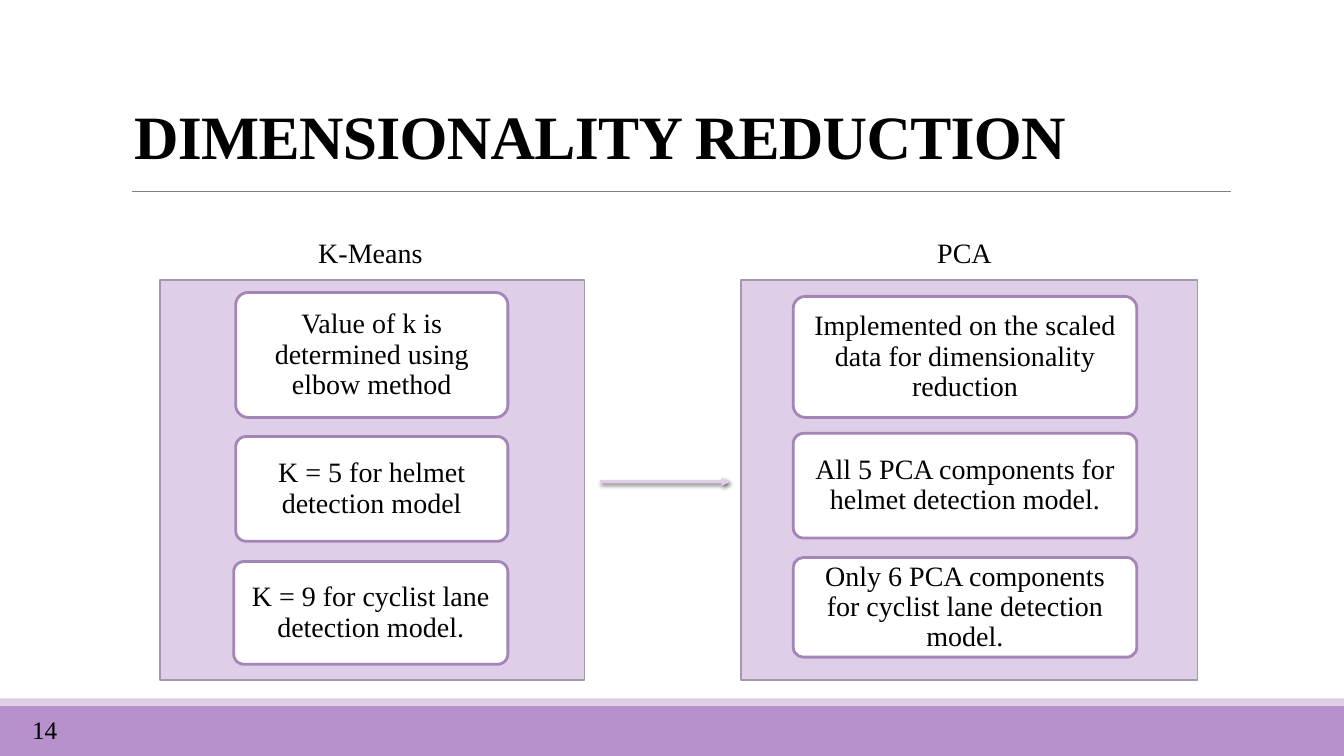
"""Build the dimensionality reduction slide: K-Means leading to PCA."""
from lxml import etree
from pptx import Presentation
from pptx.dml.color import RGBColor
from pptx.enum.shapes import MSO_CONNECTOR as CONN, MSO_SHAPE as SHAPE
from pptx.enum.text import MSO_ANCHOR as ANCHOR, MSO_AUTO_SIZE as FIT, PP_ALIGN as ALIGN
from pptx.oxml.ns import qn
from pptx.util import Cm, Pt

COLORS = {
    "text": "000000", "rule": "808080", "footer": "B691CB", "pale": "DECEE8",
    "panel_line": "A498AC", "card": "FFFFFF", "card_line": "A584B8",
}
FONT = "Times New Roman"
PANEL_TOP, PANEL_HEIGHT = 7.06, 10.08
PANELS = [
    {"left": 4.04, "width": 10.69, "label": ("K-Means", 7.77, 3.18), "inset": 0.25,
     "cards": [
         ((5.94, 7.37, 6.86, 3.15), "Value of k is determined using elbow method"),
         ((5.94, 11, 6.86, 2.64), "K = 5 for helmet detection model"),
         ((5.89, 14.15, 6.91, 2.59), "K = 9 for cyclist lane detection model."),
     ]},
    {"left": 18.67, "width": 11.51, "label": ("PCA", 23.37, 1.91), "inset": 0.38,
     "cards": [
         ((19.99, 7.47, 8.66, 3.05),
          "Implemented on the scaled data for dimensionality reduction"),
         ((19.99, 10.92, 8.66, 2.64), "All 5 PCA components for helmet detection model."),
         ((19.99, 14.05, 8.66, 2.51),
          "Only 6 PCA components for cyclist lane detection model."),
     ]},
]


def rgb(name):
    return RGBColor.from_string(COLORS[name])


def apply(target, formats):
    for name, value in formats.items():
        setattr(target, name, value)


def write(tf, text, size, frame, para=None, bold=False):
    apply(tf, frame)
    p = tf.paragraphs[0]
    apply(p, para or {})
    r = p.add_run()
    r.text = text
    apply(r.font, {"name": FONT, "size": Pt(size), "bold": bold})
    r.font.color.rgb = rgb("text")
    return r


def add_box(s, kind, box, fill, line=None, width=0):
    sp = s.shapes.add_shape(kind, *map(Cm, box))
    sp.shadow.inherit = False
    sp.fill.solid()
    sp.fill.fore_color.rgb = rgb(fill)
    if line:
        sp.line.color.rgb = rgb(line)
        sp.line.width = Pt(width)
    else:
        sp.line.fill.background()
    return sp


def add_card(s, box, text, inset):
    sp = add_box(s, SHAPE.ROUNDED_RECTANGLE, box, "card", "card_line", 2)
    sp.adjustments[0] = 0.1
    frame = {"word_wrap": True, "vertical_anchor": ANCHOR.MIDDLE,
             "margin_left": Cm(inset), "margin_right": Cm(inset),
             "margin_top": Cm(0.2), "margin_bottom": Cm(0.2)}
    write(sp.text_frame, text, 20, frame, {"alignment": ALIGN.CENTER, "line_spacing": 0.9})


def add_label(s, box, text, size):
    tf = s.shapes.add_textbox(*map(Cm, box)).text_frame
    write(tf, text, size, {"word_wrap": False, "auto_size": FIT.SHAPE_TO_FIT_TEXT})


def add_title(s, text):
    tf = s.shapes.add_textbox(Cm(3.05), Cm(0.86), Cm(26.31), Cm(3.81)).text_frame
    frame = {"word_wrap": True, "vertical_anchor": ANCHOR.BOTTOM}
    frame.update({f"margin_{side}": Cm(0.33) for side in ("left", "right", "top", "bottom")})
    r = write(tf, text, 44, frame, bold=True)
    r.font._element.set("spc", "-50")


def add_line(s, x1, x2, y, color, width):
    line = s.shapes.add_connector(CONN.STRAIGHT, Cm(x1), Cm(y), Cm(x2), Cm(y))
    line.line.color.rgb = rgb(color)
    line.line.width = Pt(width)
    effects = etree.SubElement(line._element.spPr, qn("a:effectLst"))
    return line, effects


def add_arrow(s, x1, x2, y):
    arrow, effects = add_line(s, x1, x2, y, "pale", 2)
    etree.SubElement(arrow.line._get_or_add_ln(), qn("a:tailEnd"), type="triangle")
    shadow = etree.SubElement(effects, qn("a:outerShdw"), blurRad=str(Pt(3)),
                              dist=str(Pt(2)), dir="2700000", rotWithShape="0")
    color = etree.SubElement(shadow, qn("a:srgbClr"), val=COLORS["text"])
    etree.SubElement(color, qn("a:alpha"), val="60000")


def add_panel(s, panel):
    box = (panel["left"], PANEL_TOP, panel["width"], PANEL_HEIGHT)
    add_box(s, SHAPE.RECTANGLE, box, "pale", "panel_line", 1.25)
    for card, text in panel["cards"]:
        add_card(s, card, text, panel["inset"])
    text, left, width = panel["label"]
    add_label(s, (left, 5.82, width, 1.12), text, 20)


def main():
    prs = Presentation()
    apply(prs, {"slide_width": Cm(33.87), "slide_height": Cm(19.05)})
    s = prs.slides.add_slide(prs.slide_layouts[6])
    add_box(s, SHAPE.RECTANGLE, (0, 17.78, 33.87, 1.27), "footer")
    add_box(s, SHAPE.RECTANGLE, (0, 17.6, 33.87, 0.18), "pale")
    add_line(s, 3.33, 31.01, 4.83, "rule", 0.5)
    add_title(s, "DIMENSIONALITY REDUCTION")
    for panel in PANELS:
        add_panel(s, panel)
    add_arrow(s, 15.11, 18.39, 12.14)
    add_label(s, (0.56, 17.88, 1.14, 1.02), "14", 18)
    prs.save("out.pptx")


if __name__ == "__main__":
    main()
